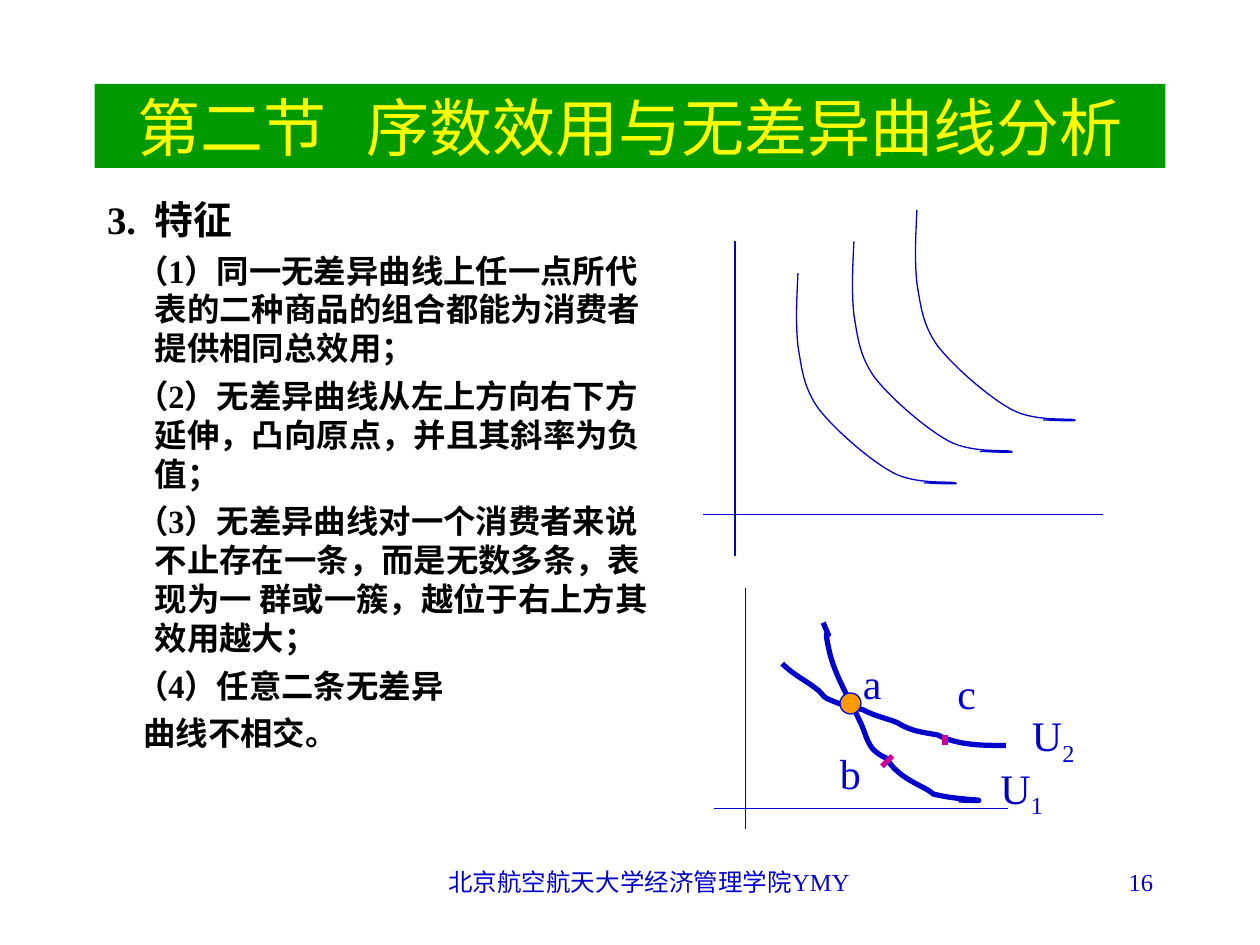
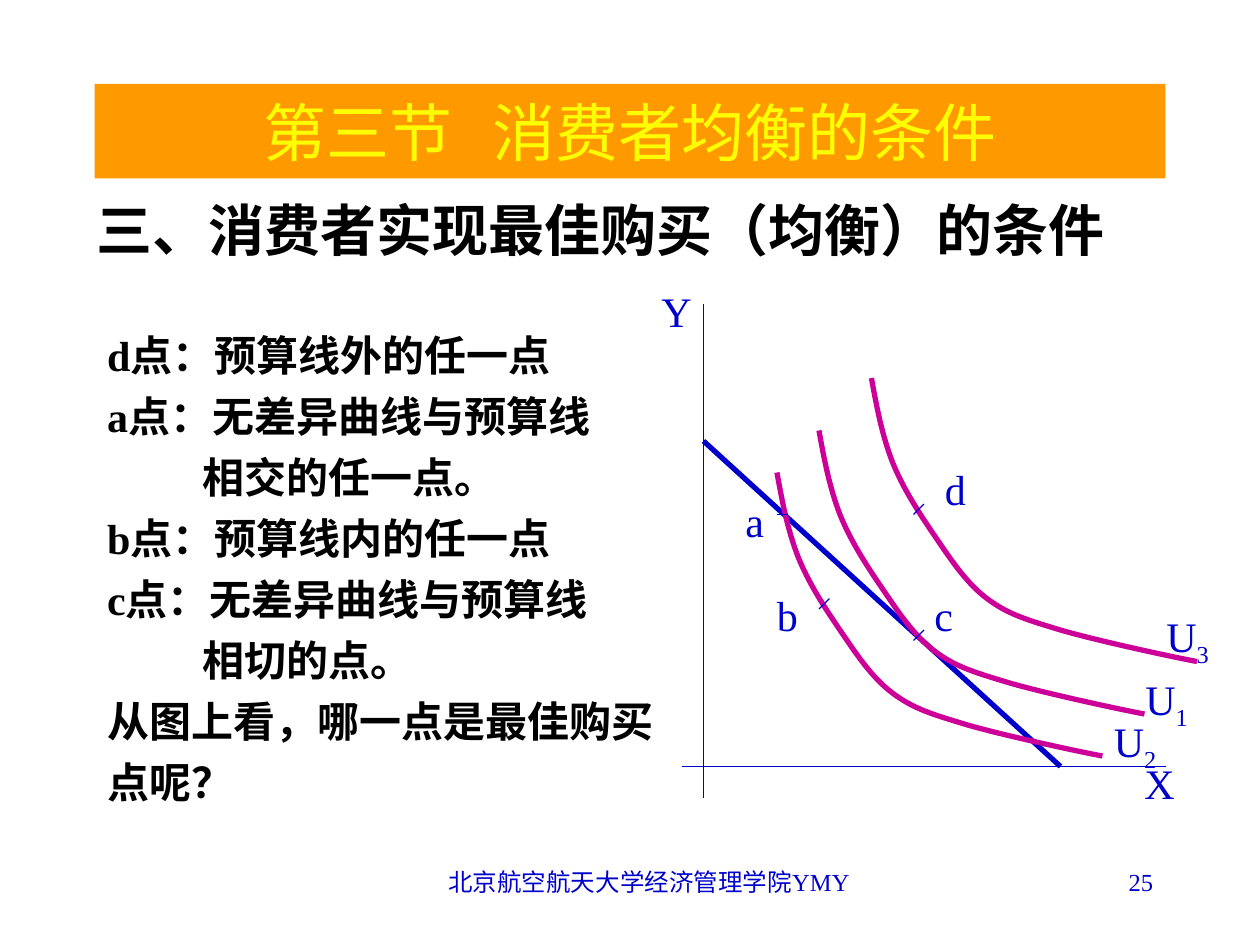
import pptx
import pptx.util
import pptx.dml.color
import pptx.enum.shapes
import pptx.enum.text
import pptx.oxml.ns
from lxml import etree

RGB = pptx.dml.color.RGBColor
BLUE = RGB(0x00, 0x00, 0xCC)
GREEN = RGB(0x00, 0x99, 0x00)
ORANGE = RGB(0xFF, 0x99, 0x00)
YELLOW = RGB(0xFF, 0xFF, 0x00)
PINK = RGB(0xCC, 0x00, 0x99)
BLACK = RGB(0x00, 0x00, 0x00)

FACE = "Times New Roman"
SCHOOL = "北京航空航天大学经济管理学院YMY"
COLS = 120
WIDE, HIGH = pptx.util.Inches(10), pptx.util.Inches(7.5)
CELL = WIDE // COLS
THIN, THICK = 0.75, 3
ALIGN = pptx.enum.text.PP_ALIGN
ANCHOR = pptx.enum.text.MSO_ANCHOR
qn = pptx.oxml.ns.qn

FAMILY = [(0, 0), (-0.12, 2.4), (-0.24, 4.8), (0, 7),
          (0.36, 9.1), (0.5, 10.9), (2, 13),
          (3.6, 15), (6.8, 17.8), (9, 19),
          (11.2, 20.2), (14.5, 19.8), (15, 20),
          (15.6, 20.2), (12.6, 20), (12, 20)]
FLAT = [(6.5, 7.2), (7.7, 8.4), (8.8, 8.8), (10, 9.8),
        (10.2, 10), (10.5, 10.4), (10.7, 10.5),
        (12.2, 11.2), (12.9, 11.3), (14.2, 11.6),
        (15.3, 12.2), (16.4, 12.4), (17.4, 12.8),
        (18.9, 13.7), (19.7, 13.7), (21.3, 14),
        (23.3, 15), (25.6, 15), (27.8, 15)]
STEEP = [(10.4, 3.3), (11.7, 6.4), (10, 2), (11.1, 6.5),
         (11.7, 8.6), (12.9, 10.6), (13.8, 12.5),
         (14.7, 14.2), (14.4, 15.3), (16.4, 16.2),
         (17.4, 17.8), (18.8, 18.4), (20.3, 19.2),
         (20.7, 19.4), (20.8, 19.7), (21.2, 19.7),
         (22.5, 20), (23.8, 20.1), (25.1, 20.2),
         (25.7, 20.3), (23.9, 20.2), (23.3, 20.2)]
CONVEX = [(0, 0), (0.5, 2.75), (1, 5.4), (2, 8),
          (3, 10.5), (4.5, 12.8), (6, 15),
          (7.5, 17.2), (9, 19.5), (11, 21),
          (13, 22.5), (14.7, 23), (18, 24),
          (21.4, 25), (28.8, 26.6), (31, 27)]


def grid(*units):
    """Turn grid units into lengths."""
    return [round(unit * CELL) for unit in units]


def shift(box, spot):
    """Move a spot into a box."""
    return box[0] + spot[0], box[1] + spot[1]


def style(para, size, color, bold=False):
    """Format every run of a paragraph."""
    for run in para.runs:
        run.font.name = FACE
        run.font.size = pptx.util.Pt(size)
        run.font.bold = bold
        run.font.color.rgb = color


def write(slide, box, text, size, color=BLUE, align=ALIGN.LEFT, bold=False):
    """Add a text box and return its paragraph."""
    frame = slide.shapes.add_textbox(*grid(*box)).text_frame
    frame.word_wrap = True
    para = frame.paragraphs[0]
    para.text = text
    para.alignment = align
    style(para, size, color, bold)
    return para


def line(slide, box, start, end, color=BLUE, width=THIN):
    """Draw a straight line inside a box."""
    ends = grid(*shift(box, start), *shift(box, end))
    link = slide.shapes.add_connector(
        pptx.enum.shapes.MSO_CONNECTOR.STRAIGHT, *ends)
    link.line.color.rgb = color
    link.line.width = pptx.util.Pt(width)
    etree.SubElement(link._element.spPr, qn("a:effectLst"))


def bend(shape):
    """Turn each three straight segments into one cubic curve."""
    legs = list(shape._element.iter(qn("a:lnTo")))
    for first in range(0, len(legs), 3):
        trio = legs[first:first + 3]
        cubic = etree.Element(qn("a:cubicBezTo"))
        trio[0].addprevious(cubic)
        for leg in trio:
            cubic.append(leg[0])
            leg.getparent().remove(leg)


def curve(slide, box, knots, color=BLUE, width=THIN):
    """Draw a smooth open curve inside a box."""
    spots = [grid(*shift(box, knot)) for knot in knots]
    pen = slide.shapes.build_freeform(*spots[0])
    pen.add_line_segments(spots[1:], close=False)
    shape = pen.convert_to_shape()
    bend(shape)
    shape.shadow.inherit = False
    shape.fill.background()
    shape.line.color.rgb = color
    shape.line.width = pptx.util.Pt(width)


def label(slide, box, text, spot):
    """Write a letter with an optional index below."""
    width = 6.6 if len(text) > 1 else 5.3 if text.isupper() else 4.4
    para = write(slide, (*shift(box, spot), width, 6), text[0], 24)
    if len(text) > 1:
        para.add_run().text = text[1:]
        style(para, 24, BLUE)
        para.runs[1]._r.get_or_add_rPr().set("baseline", "-25000")


def band(slide, box, part, topic, fill):
    """Set the title on its coloured band."""
    title = slide.shapes.title
    title.left, title.top, title.width, title.height = grid(*box)
    title.fill.solid()
    title.fill.fore_color.rgb = fill
    frame = title.text_frame
    frame.auto_size = pptx.enum.text.MSO_AUTO_SIZE.NONE
    frame.vertical_anchor = ANCHOR.MIDDLE
    para = frame.paragraphs[0]
    para.alignment = ALIGN.CENTER
    for text in (part, " ", topic):
        para.add_run().text = text
    style(para, 36, YELLOW)
    para.runs[1]._r.get_or_add_rPr().set("spc", "1500")


def body(slide, box, rows):
    """Fill the body with rows of text, size, space, margin and indent."""
    holder = slide.placeholders[1]
    holder.left, holder.top, holder.width, holder.height = grid(*box)
    frame = holder.text_frame
    frame.auto_size = pptx.enum.text.MSO_AUTO_SIZE.NONE
    frame.vertical_anchor = ANCHOR.TOP
    frame.text = "\n".join(row[0] for row in rows)
    for para, (text, size, space, left, first) in zip(frame.paragraphs, rows):
        para.space_before = pptx.util.Pt(space)
        props = para._p.get_or_add_pPr()
        props.set("marL", str(pptx.util.Inches(left)))
        props.set("indent", str(pptx.util.Inches(first)))
        etree.SubElement(props, qn("a:buNone"))
        style(para, size, BLACK, True)


def footer(slide, number):
    """Write the school and the page number."""
    write(slide, (86, 82, 25, 6), str(number), 14, align=ALIGN.RIGHT)
    write(slide, (41, 82, 41.6, 3.6), SCHOOL, 14, align=ALIGN.CENTER)


def nested(slide, box):
    """Draw the family of curves on its axes."""
    line(slide, box, (3, 3), (3, 33))
    line(slide, box, (0, 29), (38, 29))
    for start in ((9, 6), (14.33, 3), (20.33, 0)):
        curve(slide, shift(box, start), FAMILY)


def crossed(slide, box):
    """Draw two crossing curves on their axes."""
    line(slide, box, (3, 0), (3, 23))
    line(slide, box, (0, 21), (28, 21))
    for knots in (FLAT, STEEP):
        curve(slide, box, knots, width=THICK)
    line(slide, box, (22, 14), (22, 15), PINK, THICK)
    line(slide, box, (17, 16), (16, 17), PINK, THICK)
    for text, spot in (("U1", (26.1, 16)), ("U2", (29.1, 11)), ("a", (13, 6)),
                       ("b", (10.8, 14.6)), ("c", (22, 7))):
        label(slide, box, text, spot)
    dot = slide.shapes.add_shape(pptx.enum.shapes.MSO_SHAPE.OVAL,
                                 *grid(*shift(box, (12, 10)), 2, 2))
    dot.shadow.inherit = False
    dot.fill.solid()
    dot.fill.fore_color.rgb = ORANGE
    dot.line.color.rgb = BLUE
    dot.line.width = pptx.util.Pt(THIN)


def budget(slide, box):
    """Draw the budget line with three curves."""
    line(slide, box, (2, 0), (2, 47))
    line(slide, box, (0, 44), (46, 44))
    line(slide, box, (2, 13), (36, 44), width=THICK)
    for start in ((13, 12), (9, 16), (18, 7)):
        curve(slide, shift(box, start), CONVEX, PINK, THICK)
    line(slide, box, (10, 20), (9, 20))
    for x, y in ((23, 31), (14, 28), (23, 19)):
        line(slide, box, (x, y), (x - 1, y + 1))
    for text, spot in (("a", (4.8, 17.6)), ("b", (7.8, 26.6)),
                       ("c", (22.8, 26.6)), ("d", (23.8, 14.6)),
                       ("U1", (42.9, 34.6)), ("U2", (39.9, 38.6)),
                       ("U3", (44.9, 28.6)), ("X", (42.8, 42.6)),
                       ("Y", (-3.2, -2.4))):
        label(slide, box, text, spot)


def traits(slide):
    """Build the slide on the traits of the curves."""
    band(slide, (9, 8, 102, 8), "第二节", "序数效用与无差异曲线分析", GREEN)
    items = ("（1）同一无差异曲线上任一点所代表的二种商品的组合都能为消费者提供相同总效用；",
             "（2）无差异曲线从左上方向右下方延伸，凸向原点，并且其斜率为负值；",
             "（3）无差异曲线对一个消费者来说不止存在一条，而是无数多条，"
             "表现为一 群或一簇，越位于右上方其效用越大；",
             "（4）任意二条无差异")
    rows = [("3.\t特征", 22.2, 0, 0.38, -0.38)]
    rows += [(item, 18.5, 5, 0.38, -0.15) for item in items]
    rows.append(("曲线不相交。", 18.5, 5, 0.38, -0.09))
    body(slide, (9, 18, 54, 62), rows)
    nested(slide, (67, 20))
    crossed(slide, (68, 56))
    footer(slide, 16)


def balance(slide):
    """Build the slide on the best purchase."""
    band(slide, (9, 8, 102, 9), "第三节", "消费者均衡的条件", ORANGE)
    write(slide, (8, 18, 99, 7.7), "三、消费者实现最佳购买（均衡）的条件",
          32, BLACK, bold=True)
    texts = (("d点：预算线外的任一点", 0), ("a点：无差异曲线与预算线", 0),
             ("相交的任一点。", 0.76), ("b点：预算线内的任一点", 0),
             ("c点：无差异曲线与预算线", 0), ("相切的点。", 0.76),
             ("从图上看，哪一点是最佳购买", 0), ("点呢？", 0))
    body(slide, (9, 30.8, 102, 49.2),
         [(text, 24, 6 if rank else 0, left, 0)
          for rank, (text, left) in enumerate(texts)])
    budget(slide, (65, 29))
    footer(slide, 25)


def main():
    """Build and save the slides."""
    deck = pptx.Presentation()
    deck.slide_width, deck.slide_height = WIDE, HIGH
    for build in (traits, balance):
        build(deck.slides.add_slide(deck.slide_layouts[1]))
    deck.save("out.pptx")


if __name__ == "__main__":
    main()
